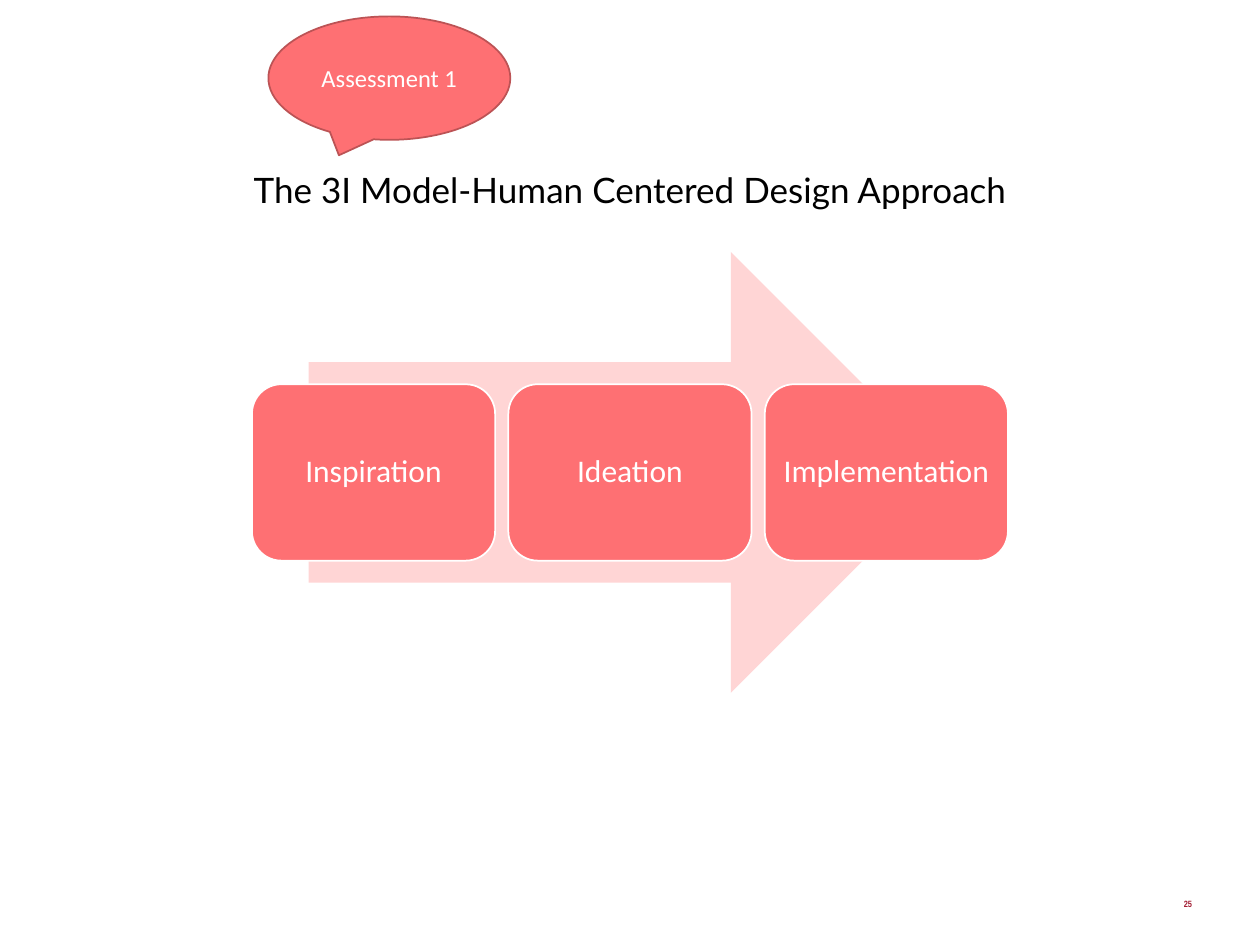
"""Build the 3I Model slide: a title, a three-step arrow process and a callout."""
from dataclasses import dataclass

from pptx import Presentation
from pptx.dml.color import RGBColor
from pptx.enum import shapes, text
from pptx.util import Inches, Pt


@dataclass(frozen=True)
class Theme:
    coral: str = "FE7073"
    pale: str = "FFD5D5"
    edge: str = "BC5355"
    white: str = "FFFFFF"
    black: str = "000000"
    crimson: str = "A31E34"
    title_font: str = "Lato"
    body_font: str = "Calibri"
    number_font: str = "Arial Narrow"
    title_size: float = 20
    step_size: float = 18
    callout_size: float = 14
    number_size: float = 5.2


THEME = Theme()
SHAPE = shapes.MSO_SHAPE
ALIGN = text.PP_ALIGN
ANCHOR = text.MSO_ANCHOR
STEPS = ("Inspiration", "Ideation", "Implementation")


def write(s, words, font, size, color, align=ALIGN.CENTER, anchor=ANCHOR.MIDDLE,
          inset=0, top=None, bold=False, spacing=None):
    tf = s.text_frame
    frame = {
        "word_wrap": True,
        "vertical_anchor": anchor,
        "margin_left": Inches(inset),
        "margin_right": Inches(inset),
        "margin_top": Inches(inset if top is None else top),
        "margin_bottom": Inches(inset),
    }
    for name, value in frame.items():
        setattr(tf, name, value)
    p = tf.paragraphs[0]
    p.alignment = align
    p.line_spacing = spacing
    r = p.add_run()
    r.text = words
    for name, value in {"name": font, "size": Pt(size), "bold": bold}.items():
        setattr(r.font, name, value)
    r.font.color.rgb = RGBColor.from_string(color)


def add_label(slide, box, *args, **formats):
    s = slide.shapes.add_textbox(*map(Inches, box))
    write(s, *args, anchor=ANCHOR.TOP, **formats)


def add_block(slide, kind, box, fill, line=None):
    s = slide.shapes.add_shape(kind, *map(Inches, box))
    s.shadow.inherit = False
    s.fill.solid()
    s.fill.fore_color.rgb = RGBColor.from_string(fill)
    if line:
        s.line.color.rgb = RGBColor.from_string(line)
        s.line.width = Pt(1)
    else:
        s.line.fill.background()
    return s


def add_process(slide, left, top, width, height):
    add_block(slide, SHAPE.RIGHT_ARROW,
              (left + width * 0.075, top, width * 0.85, height), THEME.pale)
    step_w, step_h = 1.93, height * 0.4
    pitch = (width - step_w) / (len(STEPS) - 1)
    for i, step in enumerate(STEPS):
        box = (left + i * pitch, top + (height - step_h) / 2, step_w, step_h)
        s = add_block(slide, SHAPE.ROUNDED_RECTANGLE, box, THEME.coral, THEME.white)
        write(s, step, THEME.body_font, THEME.step_size, THEME.white,
              inset=0.07, spacing=0.9)


def main():
    prs = Presentation()
    prs.slide_width, prs.slide_height = Inches(10), Inches(7.5)
    slide = prs.slides.add_slide(prs.slide_layouts[6])
    add_label(slide, (0.54, 1.11, 8.92, 0.75),
              "The 3I Model-Human Centered Design Approach",
              THEME.title_font, THEME.title_size, THEME.black,
              top=0.28, spacing=Pt(20.2))
    add_label(slide, (7.21, 7.13, 2.25, 0.22), "25", THEME.number_font,
              THEME.number_size, THEME.crimson, align=ALIGN.RIGHT, bold=True)
    add_process(slide, 2, 2, 6, 3.5)
    s = add_block(slide, SHAPE.OVAL_CALLOUT, (2.13, 0.13, 1.92, 0.98),
                  THEME.coral, THEME.edge)
    write(s, "Assessment 1", THEME.body_font, THEME.callout_size, THEME.white,
          inset=0.05)
    prs.save("out.pptx")


if __name__ == "__main__":
    main()
